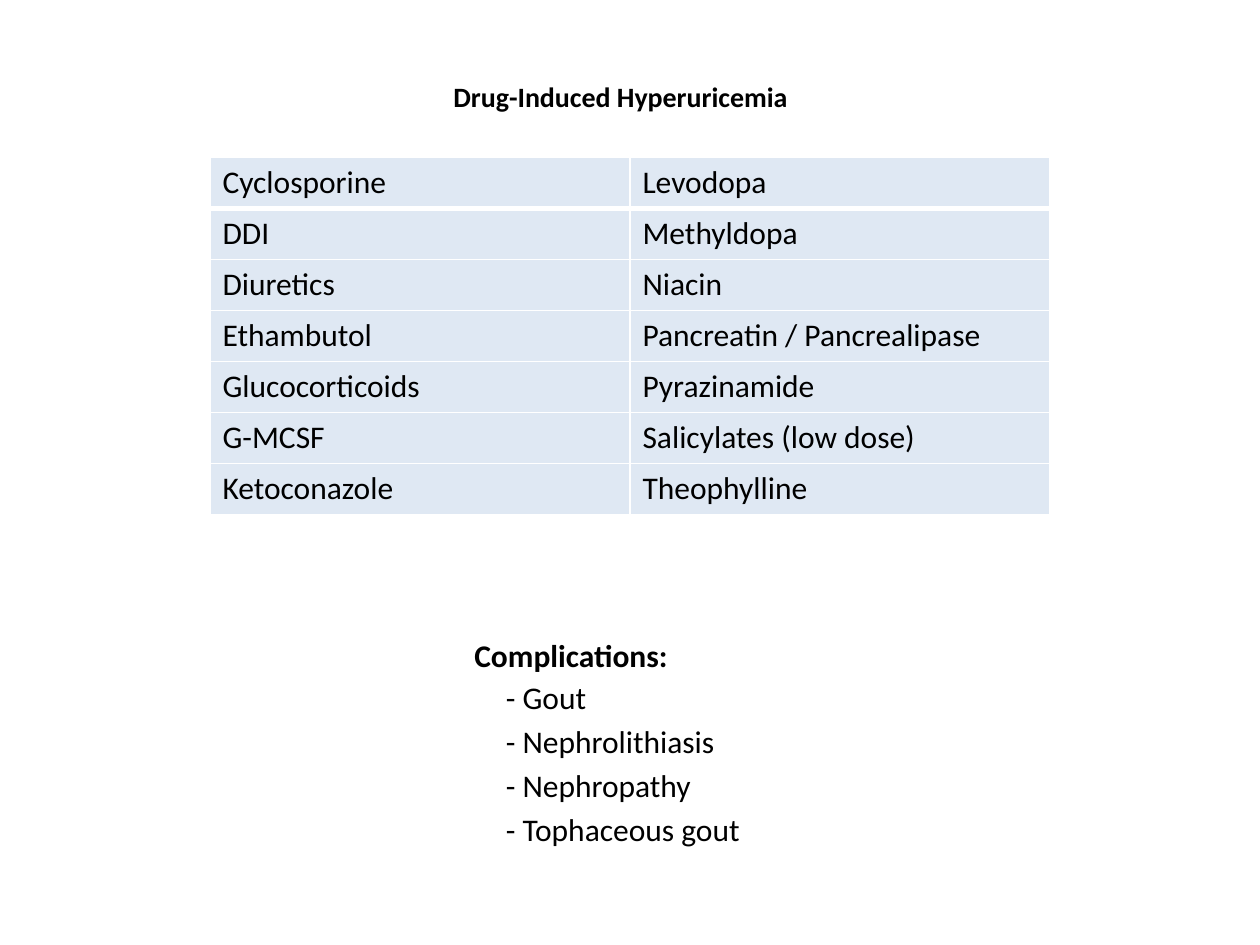
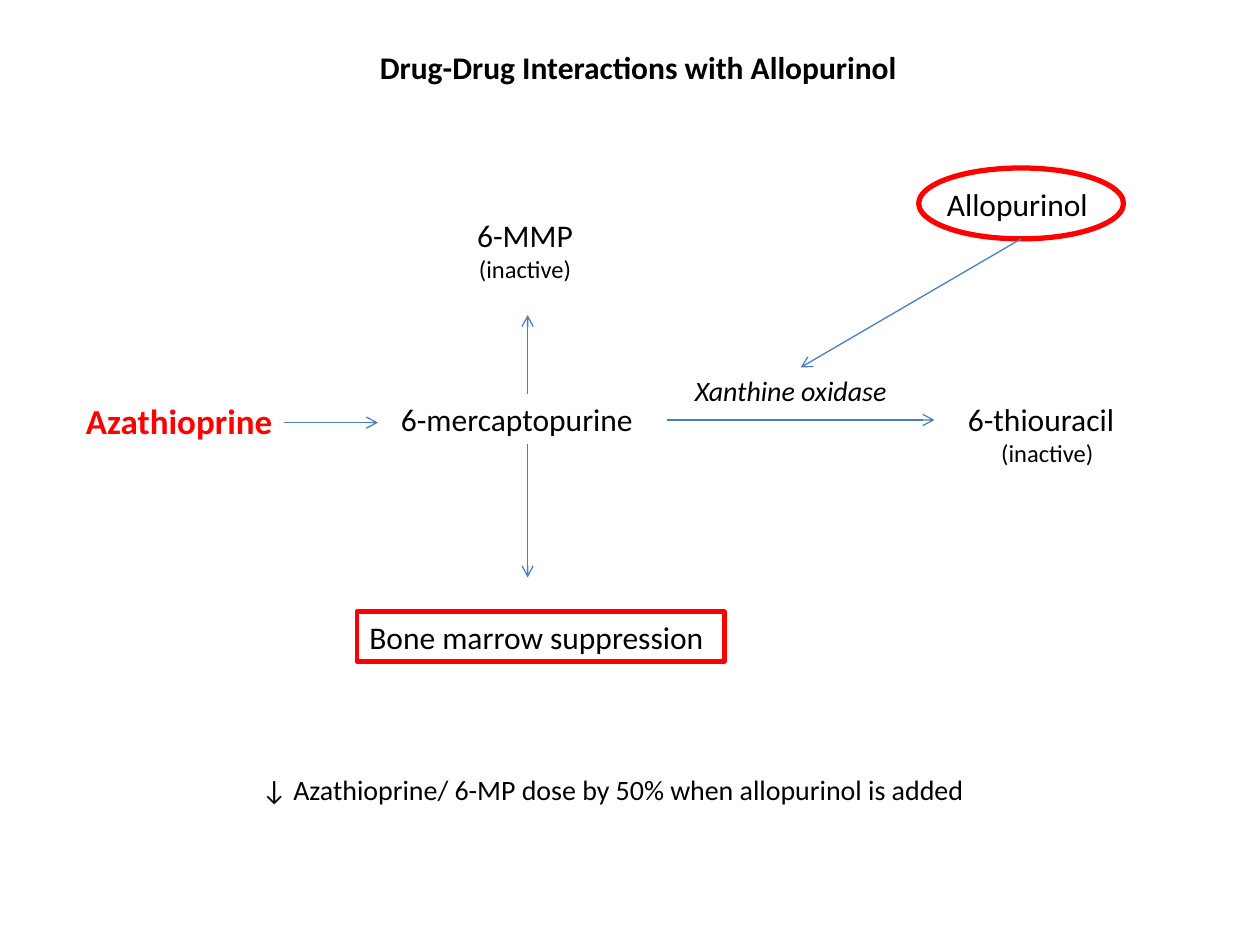
from collections import namedtuple

from lxml.etree import SubElement
from pptx import Presentation
from pptx.dml.color import RGBColor
from pptx.enum.shapes import MSO_CONNECTOR, MSO_SHAPE
from pptx.enum.text import MSO_ANCHOR, PP_ALIGN
from pptx.oxml.ns import qn
from pptx.util import Inches, Pt

COLORS = {
    "text": "000000",
    "alert": "FF0000",
    "arrow": "4B7EBC",
    "cell": "4F81BD",
    "border": "FFFFFF",
}
FONT = "Calibri"

# The slide is a grid of 120 columns by 90 rows with square cells
COLUMNS, ROWS = 120, 90
CELL = Inches(10) / COLUMNS
Box = namedtuple("Box", "left top width height")

# Text formats
BODY = {"size": Pt(18)}
HEADING = {"size": Pt(18), "bold": True}
SMALL_HEADING = {"size": Pt(16), "bold": True}
DRUG = {"size": Pt(20), "bold": True}
REMARK = {"size": Pt(14)}
NOTE = {"size": Pt(16)}
ENZYME = {"size": Pt(16), "italic": True}

DRUG_ROWS = [
    ("Cyclosporine", "Levodopa"),
    ("DDI", "Methyldopa"),
    ("Diuretics", "Niacin"),
    ("Ethambutol", "Pancreatin / Pancrealipase"),
    ("Glucocorticoids", "Pyrazinamide"),
    ("G-MCSF", "Salicylates (low dose)"),
    ("Ketoconazole", "Theophylline"),
]
COMPLICATIONS = ["- Gout", "- Nephrolithiasis", "- Nephropathy", "- Tophaceous gout"]


def grid(*values):
    return [round(value * CELL) for value in values]


def inside(box, left, top, width, height):
    return Box(box.left + left, box.top + top, width, height)


def color(name):
    return RGBColor.from_string(COLORS[name])


def format_font(font, text_format, color_name="text"):
    for attribute, value in {"name": FONT, **text_format}.items():
        setattr(font, attribute, value)
    font.color.rgb = color(color_name)


def add_text(slide, box, lines, color_name="text", align=PP_ALIGN.LEFT, space_before=0):
    """Add a text box; lines holds pairs of text and format."""
    shape = slide.shapes.add_textbox(*grid(*box))
    frame = shape.text_frame
    frame.word_wrap = True
    for index, (text, text_format) in enumerate(lines):
        paragraph = frame.paragraphs[0] if index == 0 else frame.add_paragraph()
        paragraph.alignment = align
        if index:
            paragraph.space_before = Pt(space_before)
        run = paragraph.add_run()
        run.text = text
        format_font(run.font, text_format, color_name)
    return shape


def add_outline(shape, width):
    shape.line.color.rgb = color("alert")
    shape.line.width = Pt(width)


def add_arrow(slide, box, start, end):
    points = grid(box.left + start[0], box.top + start[1],
                  box.left + end[0], box.top + end[1])
    connector = slide.shapes.add_connector(MSO_CONNECTOR.STRAIGHT, *points)
    connector.line.color.rgb = color("arrow")
    connector.line.width = Pt(0.75)
    SubElement(connector.line._get_or_add_ln(), qn("a:tailEnd"), type="arrow")
    SubElement(connector._element.spPr, qn("a:effectLst"))


def set_borders(cell, widths):
    properties = cell._tc.get_or_add_tcPr()
    for index, (side, width) in enumerate(widths.items()):
        line = SubElement(properties, qn(f"a:ln{side}"), w=str(Pt(width)))
        fill = SubElement(line, qn("a:solidFill"))
        SubElement(fill, qn("a:srgbClr"), val=COLORS["border"])
        properties.insert(index, line)


def add_drug_table(slide, box):
    frame = slide.shapes.add_table(len(DRUG_ROWS), len(DRUG_ROWS[0]), *grid(*box))
    table = frame.table
    for row_index, texts in enumerate(DRUG_ROWS):
        for column_index, text in enumerate(texts):
            cell = table.cell(row_index, column_index)
            cell.text = text
            cell.vertical_anchor = MSO_ANCHOR.TOP
            format_font(cell.text_frame.paragraphs[0].runs[0].font, {**BODY, "bold": False})
            # Translucent fill, with a thicker rule under the first row
            cell.fill.solid()
            cell.fill.fore_color.rgb = color("cell")
            tint = cell._tc.tcPr.find(".//" + qn("a:srgbClr"))
            SubElement(tint, qn("a:alpha"), val="18000")
            set_borders(cell, {"L": 1, "R": 1,
                               "T": 3 if row_index == 1 else 1,
                               "B": 3 if row_index == 0 else 1})


def add_complications(slide, box):
    add_text(slide, inside(box, 3, 4, box.width - 3, box.height - 4),
             [(text, BODY) for text in COMPLICATIONS], space_before=3.6)
    add_text(slide, inside(box, 0, 0, 24, 4.75), [("Complications:", HEADING)])


def add_pathway(slide, box):
    # Drug and its metabolites
    add_text(slide, inside(box, 0, 21.5, 21.5, 5.25), [("Azathioprine", DRUG)], "alert")
    add_text(slide, inside(box, 30, 21.5, 26.5, 4.75), [("6-mercaptopurine", BODY)])
    thiouracil = add_text(slide, inside(box, 84, 21.5, 17.5, 7.75),
                          [("6-thiouracil", BODY), ("(inactive)", REMARK)])
    thiouracil.text_frame.paragraphs[1].alignment = PP_ALIGN.CENTER
    add_text(slide, inside(box, 35, 4, 16, 7.75),
             [("6-MMP", BODY), ("(inactive)", REMARK)], align=PP_ALIGN.CENTER)
    suppression = add_text(slide, inside(box, 27, 42.25, 35, 4.75),
                           [("Bone marrow suppression", BODY)])
    add_outline(suppression, 2.5)

    # Conversion arrows
    for start, end in [((20, 24.25), (29, 24.25)), ((56.5, 24), (82, 24)),
                       ((43.25, 21.5), (43.25, 14)), ((43.25, 26.25), (43.25, 39))]:
        add_arrow(slide, box, start, end)

    # Enzyme and its inhibitor
    add_text(slide, inside(box, 58, 19, 21, 4.5), [("Xanthine oxidase", ENZYME)])
    add_text(slide, inside(box, 82, 1, 16, 4.75), [("Allopurinol", BODY)])
    ring = slide.shapes.add_shape(MSO_SHAPE.OVAL, *grid(*inside(box, 80.5, 0, 19.5, 6.75)))
    ring.shadow.inherit = False
    ring.fill.background()
    add_outline(ring, 3)
    add_arrow(slide, box, (90.25, 6.75), (69.25, 19))


def build_hyperuricemia_slide(slide):
    add_text(slide, Box(42, 7, 36, 4.5), [("Drug-Induced Hyperuricemia", SMALL_HEADING)])
    add_drug_table(slide, Box(20, 15, 80, 34))
    add_complications(slide, Box(44, 60, 28, 22))


def build_interactions_slide(slide):
    add_text(slide, Box(35, 4, 54, 4.75),
             [("Drug-Drug Interactions with Allopurinol", HEADING)])
    add_pathway(slide, Box(7, 16, 101.5, 47))
    add_text(slide, Box(23.75, 73, 70.25, 4.5),
             [("↓ Azathioprine/ 6-MP dose by 50% when allopurinol is added", NOTE)])


def main():
    presentation = Presentation()
    presentation.slide_width, presentation.slide_height = grid(COLUMNS, ROWS)
    blank = presentation.slide_layouts[6]
    for build in (build_hyperuricemia_slide, build_interactions_slide):
        build(presentation.slides.add_slide(blank))
    presentation.save("out.pptx")


if __name__ == "__main__":
    main()
